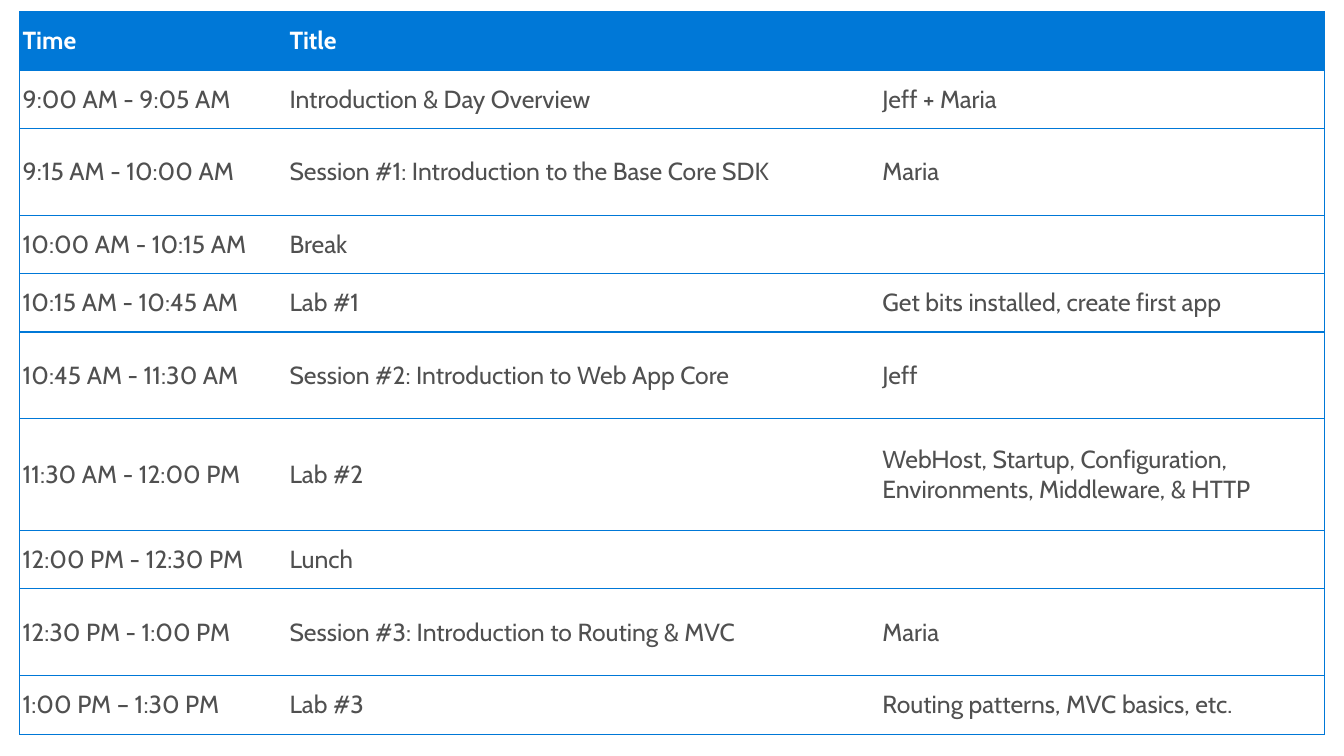
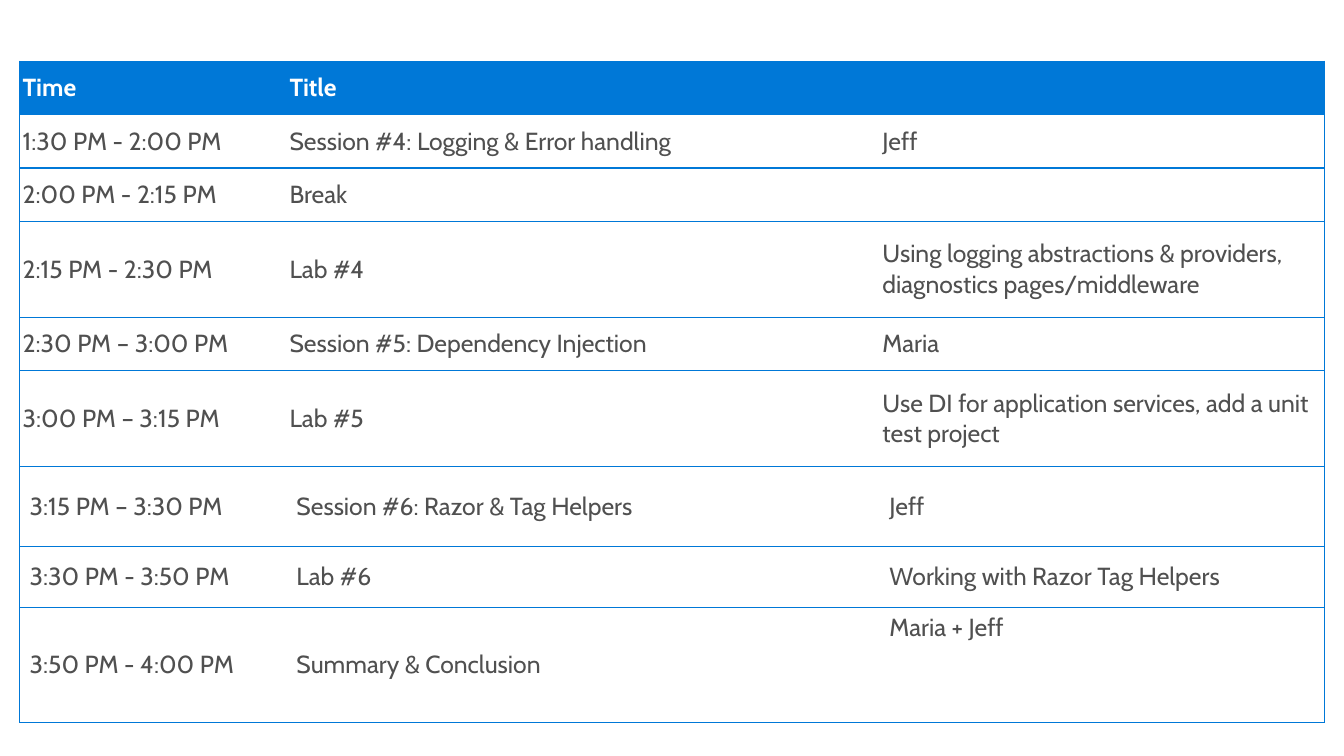
"""Builds a two-slide workshop agenda."""
from dataclasses import dataclass

from lxml import etree
from pptx import Presentation
from pptx.dml.color import RGBColor
from pptx.enum.text import MSO_ANCHOR
from pptx.oxml.ns import qn
from pptx.util import Pt

MIDDLE, TOP = MSO_ANCHOR.MIDDLE, MSO_ANCHOR.TOP
EMU_PER_PX = 9144
BLUE, WHITE, GRAY = "0078D7", "FFFFFF", "505050"
FONT, FONT_SIZE = "Cabin", 18
BORDER_WIDTH = 1
SLIDE_SIZE = (1360, 765)
TABLE_LEFT = 20
COLUMN_WIDTHS = (270, 600, 450)
HEADER = ("Time", "Title", "")
TIGHT, ROOMY = (3, 1), (10, 5)


@dataclass
class AgendaRow:
    """One agenda row: its height, texts, cell margins and detail anchor."""
    height: int
    texts: tuple
    margins: tuple = TIGHT
    detail_anchor: MSO_ANCHOR = MIDDLE


MORNING = [
    AgendaRow(59, HEADER),
    AgendaRow(59, ("9:00 AM - 9:05 AM", "Introduction & Day Overview", "Jeff + Maria")),
    AgendaRow(88, ("9:15 AM - 10:00 AM", "Session #1: Introduction to the Base Core SDK", "Maria")),
    AgendaRow(59, ("10:00 AM - 10:15 AM", "Break", "")),
    AgendaRow(59, ("10:15 AM - 10:45 AM", "Lab #1", "Get bits installed, create first app")),
    AgendaRow(88, ("10:45 AM - 11:30 AM", "Session #2: Introduction to Web App Core", "Jeff")),
    AgendaRow(113, ("11:30 AM - 12:00 PM", "Lab #2",
                    "WebHost, Startup, Configuration, Environments, Middleware, & HTTP")),
    AgendaRow(59, ("12:00 PM - 12:30 PM", "Lunch", "")),
    AgendaRow(88, ("12:30 PM - 1:00 PM", "Session #3: Introduction to Routing & MVC", "Maria")),
    AgendaRow(59, ("1:00 PM – 1:30 PM", "Lab #3", "Routing patterns, MVC basics, etc.")),
]
AFTERNOON = [
    AgendaRow(54, HEADER),
    AgendaRow(54, ("1:30 PM - 2:00 PM", "Session #4: Logging & Error handling", "Jeff")),
    AgendaRow(54, ("2:00 PM - 2:15 PM", "Break", "")),
    AgendaRow(97, ("2:15 PM - 2:30 PM", "Lab #4",
                   "Using logging abstractions & providers, diagnostics pages/middleware")),
    AgendaRow(54, ("2:30 PM – 3:00 PM", "Session #5: Dependency Injection", "Maria")),
    AgendaRow(97, ("3:00 PM – 3:15 PM", "Lab #5",
                   "Use DI for application services, add a unit test project")),
    AgendaRow(81, ("3:15 PM – 3:30 PM", "Session #6: Razor & Tag Helpers", "Jeff"), ROOMY),
    AgendaRow(62, ("3:30 PM - 3:50 PM", "Lab #6", "Working with Razor Tag Helpers"), ROOMY),
    AgendaRow(116, ("3:50 PM - 4:00 PM", "Summary & Conclusion", "Maria + Jeff"), ROOMY, TOP),
]


def px(length):
    """Turn pixels into EMU."""
    return length * EMU_PER_PX


def color(value):
    """Turn a hex string into a colour."""
    return RGBColor.from_string(value)


def set_borders(cell, visible_sides):
    """Draw the given sides of a cell in blue and hide the others."""
    properties = cell._tc.get_or_add_tcPr()
    for side in "LRTB":
        line = etree.SubElement(properties, qn(f"a:ln{side}"), w=str(Pt(BORDER_WIDTH)))
        if side in visible_sides:
            fill = etree.SubElement(line, qn("a:solidFill"))
            etree.SubElement(fill, qn("a:srgbClr"), val=BLUE)
        else:
            etree.SubElement(line, qn("a:noFill"))


def fill_cell(cell, text, margins, anchor, is_header):
    """Style one cell and write its text."""
    cell.fill.solid()
    cell.fill.fore_color.rgb = color(BLUE if is_header else WHITE)
    cell.margin_left = cell.margin_right = px(margins[0])
    cell.margin_top = cell.margin_bottom = px(margins[1])
    cell.vertical_anchor = anchor
    paragraph = cell.text_frame.paragraphs[0]
    paragraph.font.size = Pt(FONT_SIZE)
    if text:
        run = paragraph.add_run()
        run.text = text
        run.font.name = FONT
        run.font.size = Pt(FONT_SIZE)
        run.font.bold = is_header
        run.font.color.rgb = color(WHITE if is_header else GRAY)


def add_agenda(slide, top, agenda):
    """Add an agenda table whose first row is the header."""
    height = sum(row.height for row in agenda)
    table = slide.shapes.add_table(
        len(agenda), len(COLUMN_WIDTHS), px(TABLE_LEFT), px(top),
        px(sum(COLUMN_WIDTHS)), px(height)).table
    table.first_row = table.horz_banding = False
    for column, width in zip(table.columns, COLUMN_WIDTHS):
        column.width = px(width)
    visible_sides = ("LTB", "TB", "RTB")
    for row_index, row in enumerate(agenda):
        table.rows[row_index].height = px(row.height)
        anchors = (MIDDLE, MIDDLE, row.detail_anchor)
        for column_index, text in enumerate(row.texts):
            cell = table.cell(row_index, column_index)
            set_borders(cell, visible_sides[column_index])
            fill_cell(cell, text, row.margins, anchors[column_index], row_index == 0)


def main():
    """Build and save the presentation."""
    presentation = Presentation()
    presentation.slide_width, presentation.slide_height = map(px, SLIDE_SIZE)
    blank_layout = presentation.slide_layouts[6]
    for top, agenda in ((12, MORNING), (62, AFTERNOON)):
        add_agenda(presentation.slides.add_slide(blank_layout), top, agenda)
    presentation.save("out.pptx")


if __name__ == "__main__":
    main()
